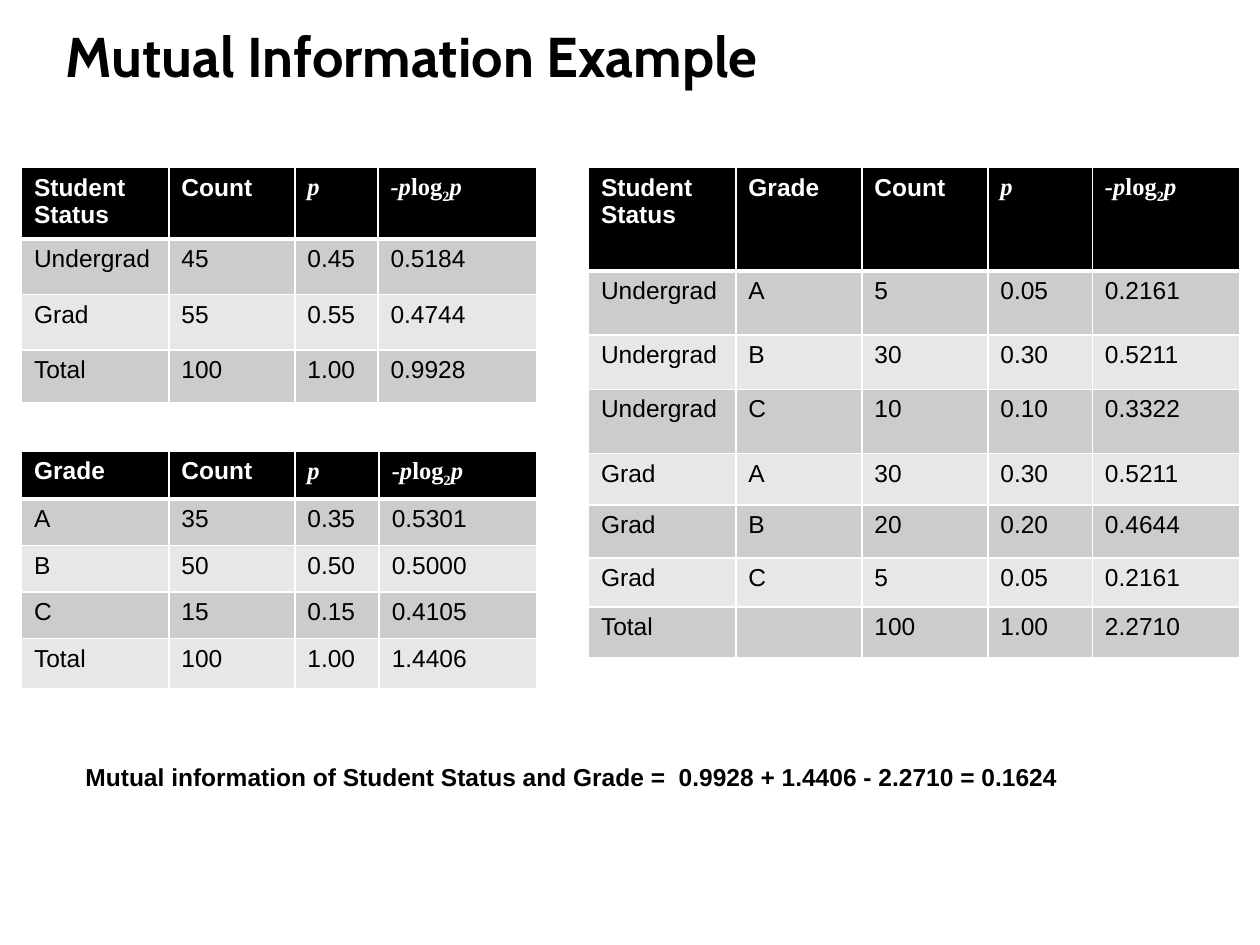
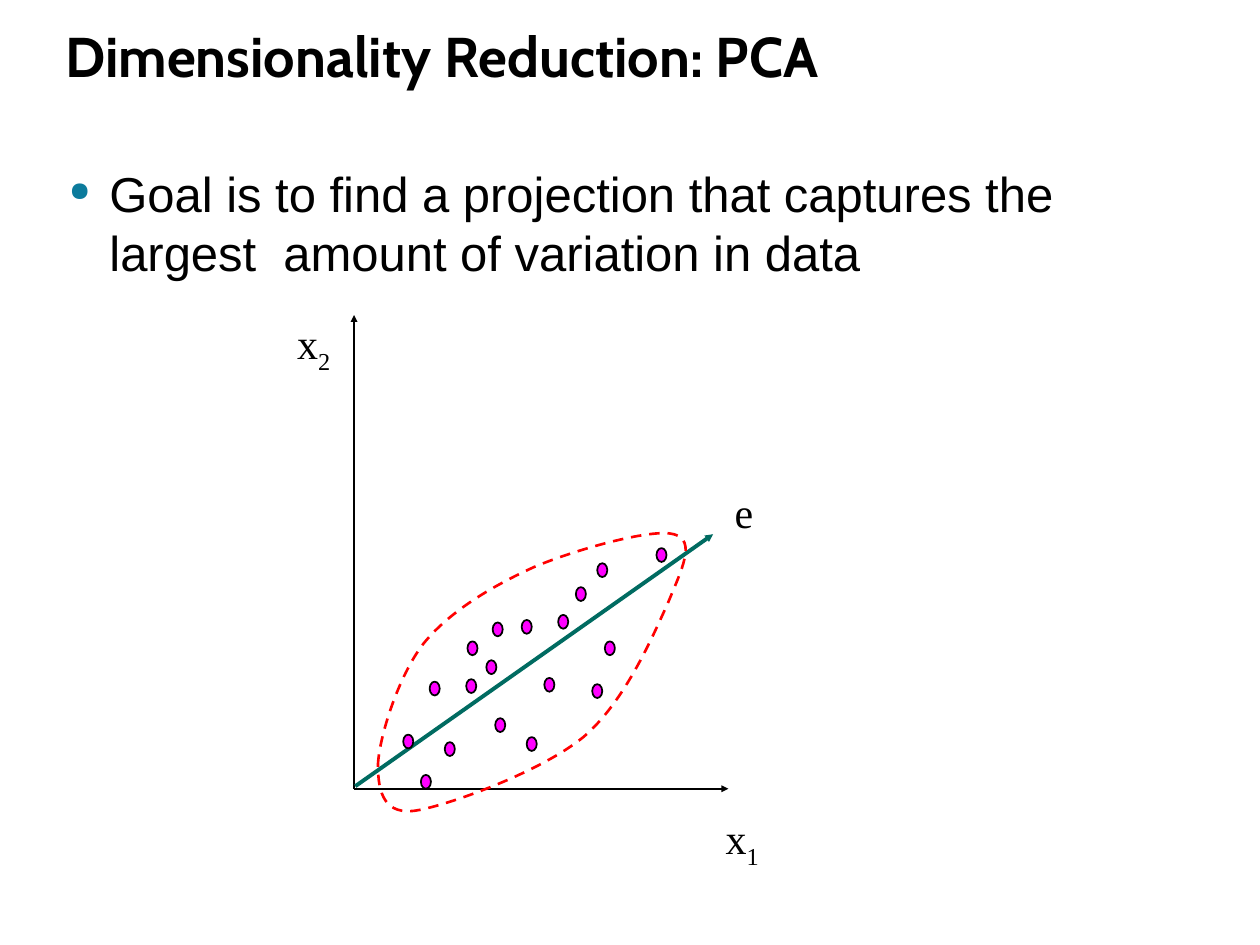
from lxml.etree import SubElement
from pptx import Presentation
from pptx.dml.color import RGBColor
from pptx.enum.dml import MSO_LINE
from pptx.enum.shapes import MSO_CONNECTOR, MSO_SHAPE
from pptx.enum.text import MSO_ANCHOR, MSO_AUTO_SIZE, PP_ALIGN
from pptx.oxml.ns import qn
from pptx.util import Inches, Pt

COLORS = {
    "black": "000000", "white": "FFFFFF", "band_dark": "CCCCCC", "band_light": "E7E7E7",
    "bullet": "0C7B9C", "eigenvector": "006B61", "point": "FF00FF", "outline": "FF0000",
}
RGB = {name: RGBColor.from_string(value) for name, value in COLORS.items()}
SERIF = "Times New Roman"


def add_runs(p, runs, size, font="Arial", color="black", bold=False):
    """Add (text, style) runs; in style, i is italic and s is subscript."""
    for text, style in runs:
        r = p.add_run()
        r.text = text
        r.font.size, r.font.name, r.font.bold = Pt(size), font, bold
        r.font.italic = "i" in style
        r.font.color.rgb = RGB[color]
        if "s" in style:
            r.font._element.set("baseline", "-25000")


def add_text(shapes, box, runs, size, wrap=True, **style):
    tf = shapes.add_textbox(*map(Inches, box)).text_frame
    tf.word_wrap = wrap
    add_runs(tf.paragraphs[0], runs, size, **style)
    return tf


prs = Presentation()
prs.slide_width, prs.slide_height = Inches(10), Inches(7.5)

slides = []
for title in ("Mutual Information Example", "Dimensionality Reduction: PCA"):
    s = prs.slides.add_slide(prs.slide_layouts[6])
    tf = add_text(s.shapes, (0.42, 0.17, 9.06, 0.58), [(title, "")], 32, font="Cabin", bold=True)
    tf.vertical_anchor = MSO_ANCHOR.BOTTOM
    tf.paragraphs[0].line_spacing = Pt(36)
    slides.append(s)
mutual_info, pca = slides

# Slide 1: entropy tables
MATH_HEADERS = {
    "p": [("p", "i")],
    "-plog2p": [("-p", "i"), ("log", ""), ("2", "s"), ("p", "i")],
}
tables = [
    ((0.17, 1.33), [1.17, 1, 0.66, 1.26], [0.44, 0.44, 0.44, 0.42], [
        ["Student Status", "Count", "p", "-plog2p"],
        ["Undergrad", "45", "0.45", "0.5184"],
        ["Grad", "55", "0.55", "0.4744"],
        ["Total", "100", "1.00", "0.9928"],
    ]),
    ((0.17, 3.58), [1.17, 1, 0.67, 1.25], [0.38, 0.37, 0.37, 0.37, 0.4], [
        ["Grade", "Count", "p", "-plog2p"],
        ["A", "35", "0.35", "0.5301"],
        ["B", "50", "0.50", "0.5000"],
        ["C", "15", "0.15", "0.4105"],
        ["Total", "100", "1.00", "1.4406"],
    ]),
    ((4.67, 1.33), [1.17, 1, 1, 0.83, 1.17],
     [0.82, 0.51, 0.43, 0.51, 0.41, 0.42, 0.39, 0.39], [
        ["Student Status", "Grade", "Count", "p", "-plog2p"],
        ["Undergrad", "A", "5", "0.05", "0.2161"],
        ["Undergrad", "B", "30", "0.30", "0.5211"],
        ["Undergrad", "C", "10", "0.10", "0.3322"],
        ["Grad", "A", "30", "0.30", "0.5211"],
        ["Grad", "B", "20", "0.20", "0.4644"],
        ["Grad", "C", "5", "0.05", "0.2161"],
        ["Total", "", "100", "1.00", "2.2710"],
    ]),
]
for (left, top), widths, heights, rows in tables:
    table = mutual_info.shapes.add_table(
        len(rows), len(widths), Inches(left), Inches(top),
        Inches(sum(widths)), Inches(sum(heights))).table
    for column, width in zip(table.columns, widths):
        column.width = Inches(width)
    for i, (row, height) in enumerate(zip(rows, heights)):
        table.rows[i].height = Inches(height)
        header = i == 0
        fill = "black" if header else "band_dark" if i % 2 else "band_light"
        for j, text in enumerate(row):
            cell = table.cell(i, j)
            tcPr = cell._tc.get_or_add_tcPr()
            for side in "LRTB":
                thick = (header and side == "B") or (i == 1 and side == "T")
                ln = SubElement(tcPr, qn(f"a:ln{side}"), w=str(Pt(3 if thick else 1)))
                solid = SubElement(ln, qn("a:solidFill"))
                SubElement(solid, qn("a:srgbClr"), val=COLORS["white"])
            cell.fill.solid()
            cell.fill.fore_color.rgb = RGB[fill]
            if text:
                add_runs(cell.text_frame.paragraphs[0], MATH_HEADERS.get(text, [(text, "")]), 14,
                         font=SERIF if text in MATH_HEADERS else "Arial",
                         color="white" if header else "black", bold=header)

add_text(mutual_info.shapes, (0.58, 6, 8.75, 0.34), [(
    "Mutual information of Student Status and Grade =  0.9928 + 1.4406 - 2.2710 = 0.1624", "")],
    14, bold=True)

# Slide 2: goal
tf = add_text(pca.shapes, (0.45, 1.25, 9.1, 5.67), [(
    "Goal is to find a projection that captures the largest  amount of variation in data", "")], 28)
p = tf.paragraphs[0]
p.space_after = Pt(4)
pPr = p._p.get_or_add_pPr()
pPr.set("marL", str(Inches(0.32)))
pPr.set("indent", str(Inches(-0.32)))
SubElement(SubElement(pPr, qn("a:buClr")), qn("a:srgbClr"), val=COLORS["bullet"])
SubElement(pPr, qn("a:buSzPct"), val="55000")
SubElement(pPr, qn("a:buChar"), char="●")

# Slide 2: scatter diagram
diagram = pca.shapes.add_group_shape().shapes
arrows = [
    ((2.81, 6.26), (2.81, 2.5), "black", 1),
    ((2.81, 6.26), (5.78, 6.26), "black", 1),
    ((2.82, 6.24), (5.66, 4.24), "eigenvector", 2.25),
]
for start, end, color, width in arrows:
    arrow = diagram.add_connector(MSO_CONNECTOR.STRAIGHT, *map(Inches, start + end))
    arrow.line.color.rgb = RGB[color]
    arrow.line.width = Pt(width)
    spPr = arrow._element.spPr
    SubElement(spPr.find(qn("a:ln")), qn("a:tailEnd"), type="triangle", w="sm", len="sm")
    SubElement(spPr, qn("a:effectLst"))

points = [
    (3.41, 5.41), (3.71, 5.09), (3.2, 5.83), (3.86, 5.24), (3.7, 5.39), (4.32, 5.38),
    (4.18, 5.85), (3.93, 5.7), (4.14, 4.92), (4.8, 5.09), (5.21, 4.35), (3.53, 5.89),
    (4.43, 4.88), (4.74, 4.47), (3.91, 4.94), (4.57, 4.66), (4.7, 5.43), (3.34, 6.15),
]
for x, y in points:
    dot = diagram.add_shape(MSO_SHAPE.OVAL, Inches(x), Inches(y), Inches(0.08), Inches(0.11))
    dot.shadow.inherit = False
    dot.fill.solid()
    dot.fill.fore_color.rgb = RGB["point"]
    dot.line.color.rgb = RGB["black"]
    dot.line.width = Pt(1)

# Bezier outline in hundredths of an inch: after the start, two controls and an end per row
start = (300, 607)
curve = [
    (301, 585), (316, 537), (336, 511),
    (357, 485), (391, 465), (424, 450),
    (457, 436), (518, 419), (535, 424),
    (553, 429), (541, 452), (530, 479),
    (518, 505), (496, 557), (463, 585),
    (430, 612), (359, 638), (332, 643),
    (305, 648), (300, 629), start,
]
builder = diagram.build_freeform(*start, scale=Inches(0.01))
builder.add_line_segments(curve, close=True)
outline = builder.convert_to_shape()
segments = list(outline._element.iter(qn("a:lnTo")))
for k in range(0, len(curve), 3):
    bezier = segments[k].makeelement(qn("a:cubicBezTo"))
    segments[k].addprevious(bezier)
    for segment in segments[k:k + 3]:
        bezier.append(segment[0])
for segment in segments:
    segment.getparent().remove(segment)
outline.shadow.inherit = False
outline.fill.background()
outline.line.color.rgb = RGB["outline"]
outline.line.width = Pt(1.5)
outline.line.dash_style = MSO_LINE.DASH

labels = [
    ((2.25, 2.5, 0.48, 0.5), [("x", ""), ("2", "s")]),
    ((5.65, 6.43, 0.48, 0.5), [("x", ""), ("1", "s")]),
    ((5.73, 3.81, 0.35, 0.5), [("e", "")]),
]
for box, runs in labels:
    tf = add_text(diagram, box, runs, 24, wrap=False, font=SERIF)
    tf.auto_size = MSO_AUTO_SIZE.SHAPE_TO_FIT_TEXT
    tf.vertical_anchor = MSO_ANCHOR.MIDDLE
    tf.paragraphs[0].alignment = PP_ALIGN.CENTER

prs.save("out.pptx")
